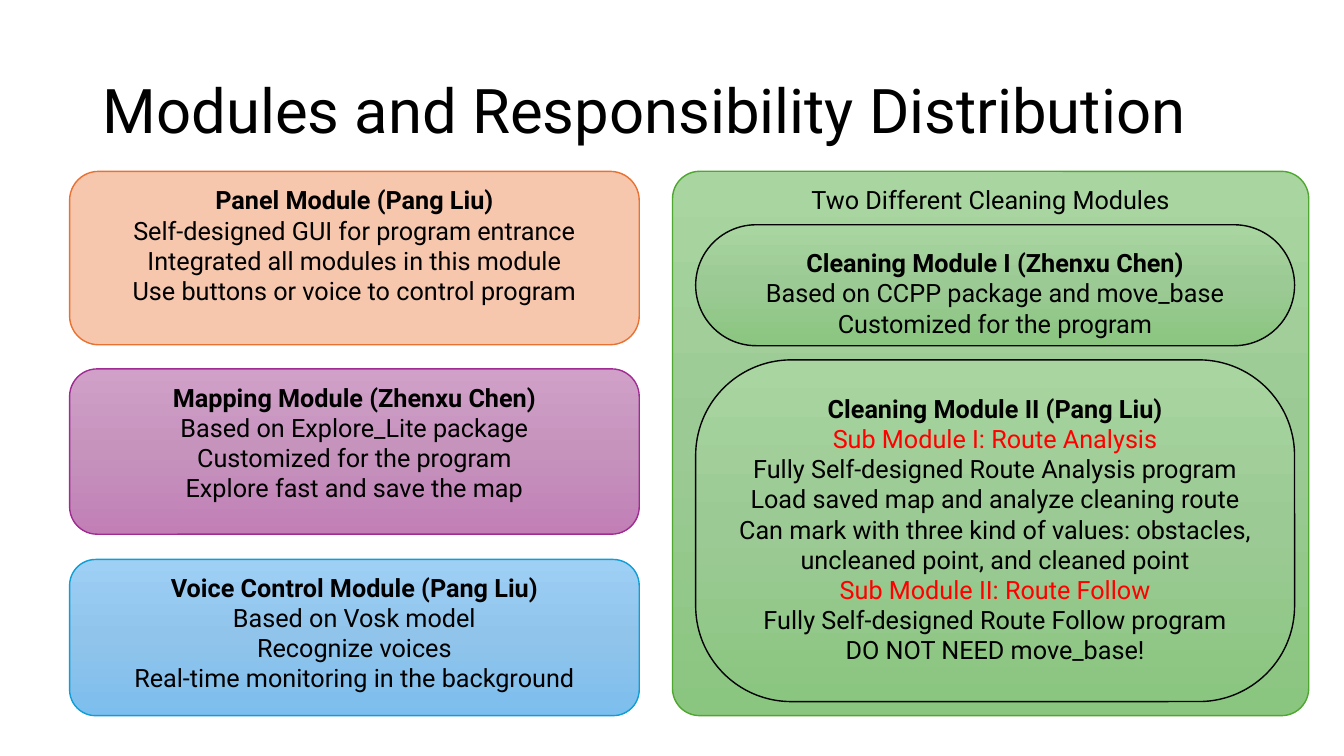
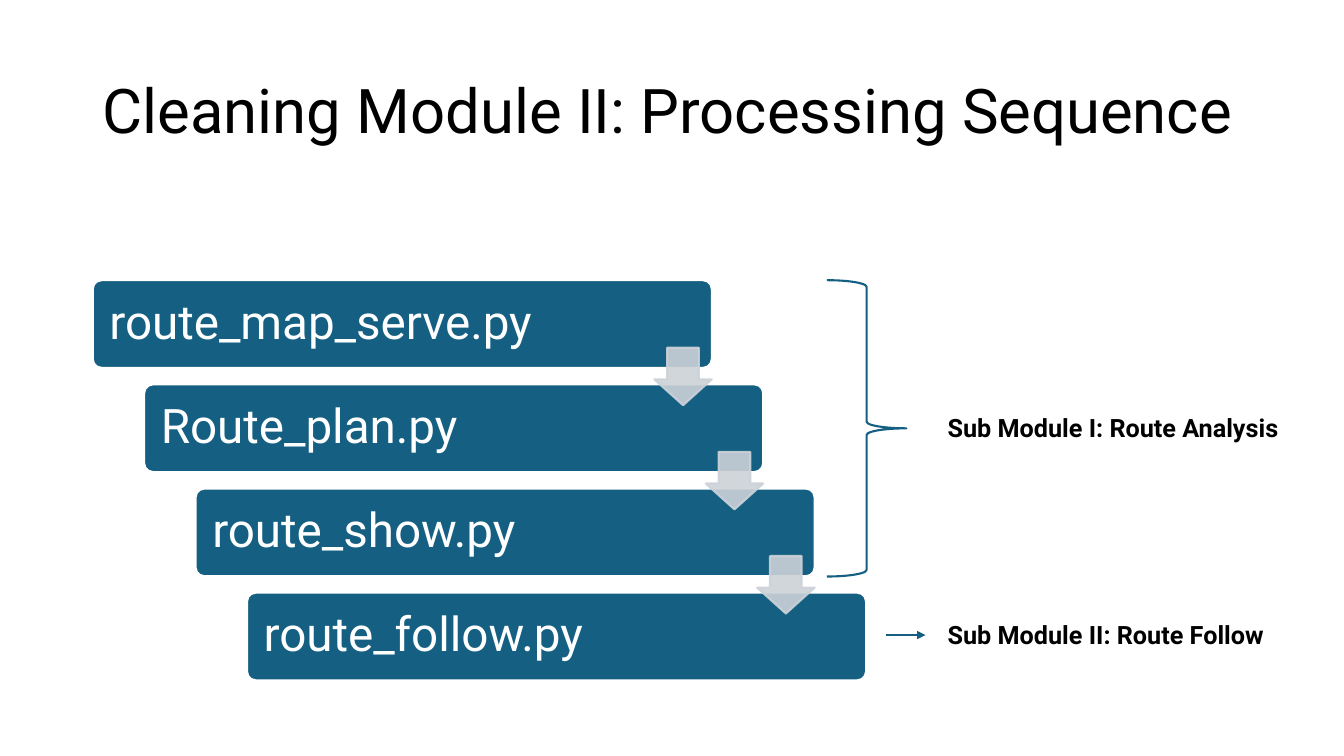
from copy import deepcopy

from lxml.etree import SubElement
from pptx import Presentation
from pptx.dml.color import RGBColor
from pptx.enum.shapes import MSO_CONNECTOR, MSO_SHAPE
from pptx.enum.text import MSO_ANCHOR, MSO_AUTO_SIZE, PP_ALIGN
from pptx.oxml.ns import qn
from pptx.util import Inches, Pt

# Shared look
FACE = "Roboto"
BLACK, WHITE, RED = "000000", "FFFFFF", "FF0000"
TEAL, GREY = "156082", "CCD2D8"
GREEN = ("A8D5A0", "9CCA94", "8AC680")
PURPLE = ("D0A0C8", "C693BD", "C17FB6")
BLUE = ("9ECFF5", "90C4EB", "7CBEED")
TITLE = {"size": Pt(44), "name": FACE}
BODY = {"size": Pt(18), "name": FACE, "bold": False}
HEAD = {**BODY, "bold": True}
STEP = {"size": Pt(34), "name": FACE}

# Frame formats
MIDDLE = {"word_wrap": True, "vertical_anchor": MSO_ANCHOR.MIDDLE}
TOP = {"word_wrap": True, "vertical_anchor": MSO_ANCHOR.TOP}
LABEL = {"word_wrap": False, "auto_size": MSO_AUTO_SIZE.SHAPE_TO_FIT_TEXT}
SIDES = ("left", "top", "right", "bottom")
PADDED = {**MIDDLE, **{f"margin_{side}": Inches(0.14) for side in SIDES}}

# Left column cards: top, height, fill, line, lines of text
CARDS = [
    (1.7, 1.72, "F6C6AD", "E97132", [
        "Panel Module (Pang Liu)",
        "Self-designed GUI for program entrance",
        "Integrated all modules in this module",
        "Use buttons or voice to control program"]),
    (3.66, 1.64, PURPLE, "A02B93", [
        "Mapping Module (Zhenxu Chen)",
        "Based on Explore_Lite package",
        "Customized for the program",
        "Explore fast and save the map"]),
    (5.55, 1.55, BLUE, "0F9ED5", [
        "Voice Control Module (Pang Liu)",
        "Based on Vosk model",
        "Recognize voices",
        "Real-time monitoring in the background"]),
]

# Cleaning modules: top, height, corner, lines of text
CLEAN = [
    (2.23, 1.2, 0.5, [
        "Cleaning Module I (Zhenxu Chen)",
        "Based on CCPP package and move_base",
        "Customized for the program"]),
    (3.57, 3.39, 0.28, [
        "Cleaning Module II (Pang Liu)",
        "Sub Module I: Route Analysis",
        "Fully Self-designed Route Analysis program",
        "Load saved map and analyze cleaning route",
        "Can mark with three kind of values: obstacles, "
        "uncleaned point, and cleaned point",
        "Sub Module II: Route Follow",
        "Fully Self-designed Route Follow program",
        "DO NOT NEED move_base!"]),
]

FILES = ["route_map_serve.py", "Route_plan.py",
         "route_show.py", "route_follow.py"]
STEP_DX, STEP_DY = 0.51, (5.88 - 2.78) / 3
SUBS = [(4.04, 3.51, "Sub Module I: Route Analysis"),
        (6.09, 3.38, "Sub Module II: Route Follow")]


def rgb(code):
    return RGBColor.from_string(code)


def apply(item, style):
    for key, value in style.items():
        setattr(item, key, value)


def write(frame, lines, style, align=PP_ALIGN.LEFT, space=1.0):
    """Fill a frame with (text, font format, colour) lines."""
    apply(frame, style)
    for num, (text, font, color) in enumerate(lines):
        para = frame.add_paragraph() if num else frame.paragraphs[0]
        apply(para, {"alignment": align, "line_spacing": space})
        run = para.add_run()
        run.text = text
        apply(run.font, font)
        run.font.color.rgb = rgb(color)


def blend(shape, colors):
    """Give a shape an even top-down gradient."""
    fill = shape.fill
    fill.gradient()
    fill.gradient_angle = 270
    stops = shape.element.spPr.find(".//" + qn("a:gsLst"))
    while len(stops) < len(colors):
        stops.append(deepcopy(stops[0]))
    for num, (stop, color) in enumerate(zip(fill.gradient_stops, colors)):
        stop.position = num / (len(colors) - 1)
        stop.color.rgb = rgb(color)


def draw(slide, kind, area, fill, line, width=1, adj=()):
    shape = slide.shapes.add_shape(kind, *map(Inches, area))
    shape.shadow.inherit = False
    for num, value in enumerate(adj):
        shape.adjustments[num] = value
    if fill is None:
        shape.fill.background()
    elif isinstance(fill, tuple):
        blend(shape, fill)
    else:
        shape.fill.solid()
        shape.fill.fore_color.rgb = rgb(fill)
    shape.line.color.rgb = rgb(line)
    shape.line.width = Pt(width)
    return shape


def label(slide, area, text, font, style, space=1.0):
    box = slide.shapes.add_textbox(*map(Inches, area))
    write(box.text_frame, [(text, font, BLACK)], style, space=space)


def card(slide, area, fill, line, lines, adj=()):
    """A rounded panel whose text is centred from the top."""
    shape = draw(slide, MSO_SHAPE.ROUNDED_RECTANGLE, area, fill, line, adj=adj)
    write(shape.text_frame, lines, TOP, PP_ALIGN.CENTER)


def module(lines):
    """Bold first line, red sub module lines, plain others."""
    return [(text, BODY if num else HEAD,
             RED if text.startswith("Sub Module") else BLACK)
            for num, text in enumerate(lines)]


def step(slide, num, text):
    area = (0.92 + num * STEP_DX, 2.78 + num * STEP_DY, 6.14, 0.87)
    shape = draw(slide, MSO_SHAPE.ROUNDED_RECTANGLE, area, TEAL, WHITE,
                 1.5, [0.1])
    write(shape.text_frame, [(text, STEP, WHITE)], PADDED, space=0.9)


def drop(slide, num):
    """A slightly clear arrow from one step to the next."""
    area = (6.49 + num * STEP_DX, 3.45 + num * STEP_DY, 0.57, 0.57)
    shape = draw(slide, MSO_SHAPE.DOWN_ARROW, area, GREY, GREY, 1.5,
                 [0.55, 0.45])
    for color in shape.element.spPr.iter(qn("a:srgbClr")):
        SubElement(color, qn("a:alpha"), val="90000")


def arrow(slide, left, right, top):
    link = slide.shapes.add_connector(
        MSO_CONNECTOR.STRAIGHT, *map(Inches, (left, top, right, top)))
    link.line.color.rgb = rgb(TEAL)
    link.line.width = Pt(1.5)
    SubElement(link.line._get_or_add_ln(), qn("a:tailEnd"), type="triangle")
    SubElement(link.element.spPr, qn("a:effectLst"))


def page(deck, title):
    slide = deck.slides.add_slide(deck.slide_layouts[6])
    label(slide, (0.92, 0.4, 11.5, 1.45), title, TITLE, MIDDLE, 0.9)
    return slide


def roles(deck):
    slide = page(deck, "Modules and Responsibility Distribution")
    # Left column
    for top, high, fill, line, lines in CARDS:
        card(slide, (0.69, top, 5.65, high), fill, line, module(lines))
    # Cleaning panel with its two modules
    card(slide, (6.67, 1.7, 6.31, 5.4), GREEN, "4EA72E",
         [("Two Different Cleaning Modules", BODY, BLACK)], [0.05])
    for top, high, bend, lines in CLEAN:
        card(slide, (6.9, top, 5.94, high), GREEN, BLACK, module(lines),
             [bend])


def flow(deck):
    slide = page(deck, "Cleaning Module II: Processing Sequence")
    # Staircase of files
    for num, text in enumerate(FILES):
        step(slide, num, text)
    for num in range(len(FILES) - 1):
        drop(slide, num)
    # Sub modules
    draw(slide, MSO_SHAPE.RIGHT_BRACE, (8.2, 2.78, 0.79, 2.94), None, TEAL,
         1.5)
    for top, wide, text in SUBS:
        label(slide, (9.3, top, wide, 0.4), text, HEAD, LABEL)
    arrow(slide, 8.79, 9.18, 6.3)


def main():
    deck = Presentation()
    deck.slide_width, deck.slide_height = Inches(13.33), Inches(7.5)
    roles(deck)
    flow(deck)
    deck.save("out.pptx")


if __name__ == "__main__":
    main()
